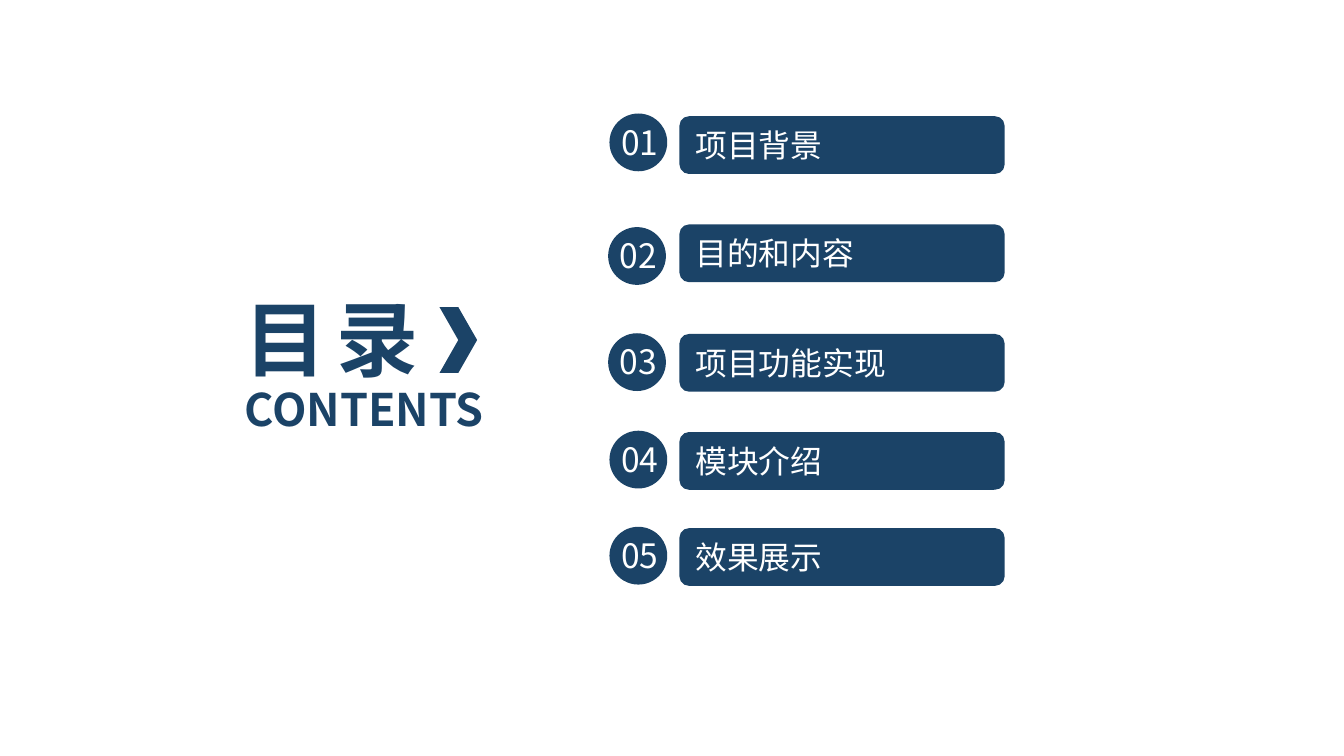
from pptx import Presentation, util as u
from pptx.dml.color import RGBColor
from pptx.enum import shapes, text
from pptx.oxml.ns import qn
from lxml import etree

PX = 4572  # 200 px to the inch
FONT = "Noto Sans CJK SC"
NAVY, WHITE = "1B4367", "FFFFFF"

prs = Presentation()
prs.slide_width, prs.slide_height = 2000 * PX, 1125 * PX
s = prs.slides.add_slide(prs.slide_layouts[6])


def add_block(kind, left, top, width, height):
    """Add a plain navy shape without outline or shadow."""
    sp = s.shapes.add_shape(kind, left * PX, top * PX, width * PX, height * PX)
    sp.shadow.inherit = False
    sp.fill.solid()
    sp.fill.fore_color.rgb = RGBColor.from_string(NAVY)
    sp.line.fill.background()
    return sp


def write(sp, words, size, color, align=text.PP_ALIGN.LEFT, bold=False):
    """Put one line of text in a shape and return its run."""
    tf = sp.text_frame
    tf.word_wrap = True
    tf.vertical_anchor = text.MSO_ANCHOR.MIDDLE
    p = tf.paragraphs[0]
    p.alignment = align
    r = p.add_run()
    r.text = words
    r.font.size, r.font.bold, r.font.name = u.Pt(size), bold, FONT
    r.font.color.rgb = RGBColor.from_string(color)
    etree.SubElement(r.font._element, qn("a:ea"), typeface=FONT)
    return r


# Heading
title = s.shapes.add_textbox(344 * PX, 419 * PX, 470 * PX, 168 * PX)
r = write(title, "目 录", 44, NAVY, bold=True)
r.font._element.set("spc", "-220")
subtitle = s.shapes.add_textbox(344 * PX, 558 * PX, 462 * PX, 100 * PX)
write(subtitle, "CONTENTS", 24, NAVY, bold=True)
add_block(shapes.MSO_SHAPE.CHEVRON, 654, 457, 56, 98)

# Agenda: label, top of bar, left and top of badge
agenda = [
    ("项目背景", 173, 907, 169),
    ("目的和内容", 334, 905, 338),
    ("项目功能实现", 497, 905, 496),
    ("模块介绍", 643, 907, 641),
    ("效果展示", 786, 907, 784),
]
for number, (label, bar_top, left, top) in enumerate(agenda, 1):
    bar = add_block(shapes.MSO_SHAPE.ROUNDED_RECTANGLE, 1011, bar_top, 484, 86)
    write(bar, label, 17, WHITE)
    add_block(shapes.MSO_SHAPE.OVAL, left, top, 86, 86)
    digits = s.shapes.add_textbox((left - 7) * PX, (top + 2) * PX, 104 * PX, 80 * PX)
    write(digits, f"{number:02}", 18, WHITE, text.PP_ALIGN.CENTER)

prs.save("out.pptx")
